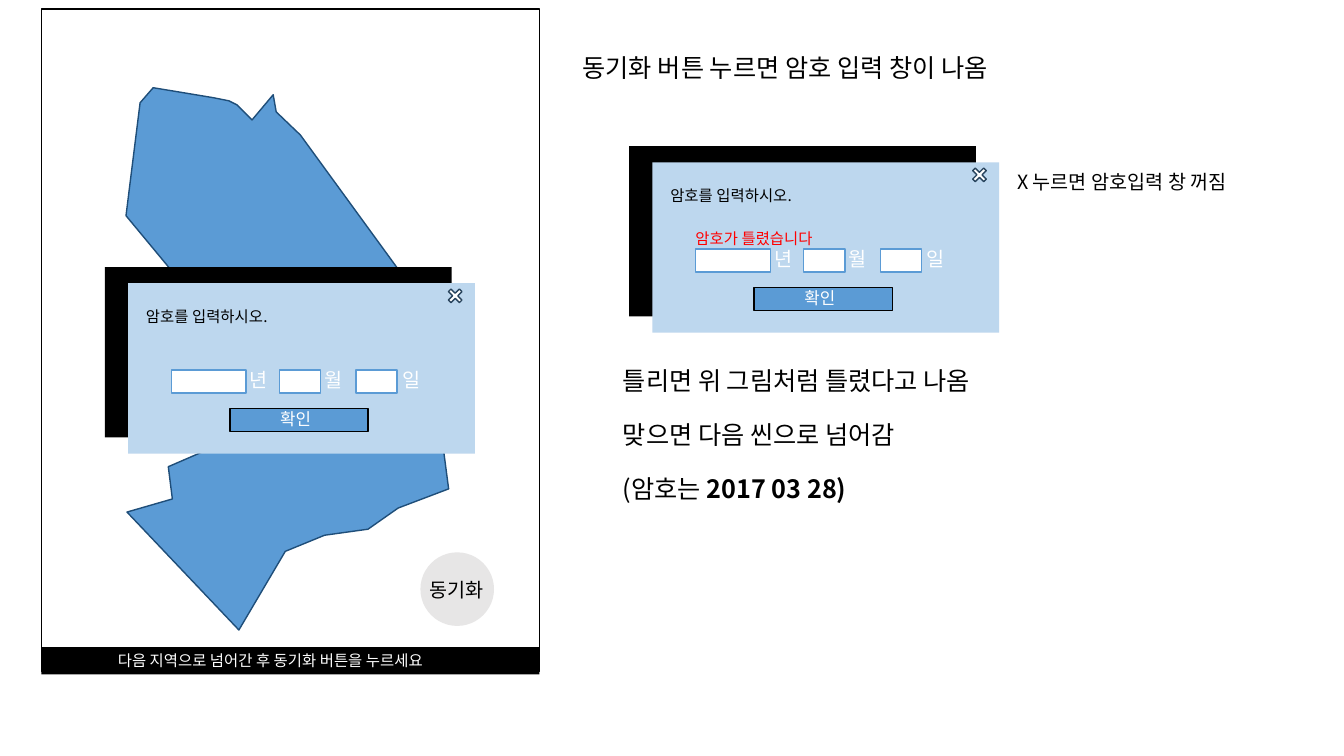
"""Build a slide describing the password dialog of a map synchronisation screen."""
from lxml.etree import SubElement
from pptx import Presentation
from pptx.dml.color import RGBColor
from pptx.enum.shapes import MSO_SHAPE as Preset
from pptx.enum.text import MSO_AUTO_SIZE as AutoSize
from pptx.oxml.ns import qn
from pptx.util import Inches, Pt

FONT = "Noto Sans CJK KR"
BLACK, WHITE, BLUE, RED = "000000", "FFFFFF", "5B9BD5", "FF0000"


def paint(shape, fill=None, line=None):
    shape.shadow.inherit = False
    if fill:
        shape.fill.solid()
        shape.fill.fore_color.rgb = RGBColor.from_string(fill)
    else:
        shape.fill.background()
    if line:
        shape.line.color.rgb = RGBColor.from_string(line)
        shape.line.width = Pt(1)
    else:
        shape.line.fill.background()
    return shape


def add_text(shapes, text, left, top, width, height, size=11, color=BLACK, bold_tail=""):
    box = shapes.add_textbox(Inches(left), Inches(top), Inches(width), Inches(height))
    frame = box.text_frame
    frame.word_wrap = False
    frame.auto_size = AutoSize.SHAPE_TO_FIT_TEXT
    for words, bold in ((text, None), (bold_tail, True)):
        if words:
            span = frame.paragraphs[0].add_run()
            span.text = words
            span.font.size = Pt(size)
            span.font.bold = bold
            span.font.name = FONT
            span.font.color.rgb = RGBColor.from_string(color)
            SubElement(span.font._element, qn("a:ea"), typeface=FONT)


deck = Presentation()
deck.slide_width, deck.slide_height = Inches(13.33), Inches(7.5)
page = deck.slides.add_slide(deck.slide_layouts[6])
shapes = page.shapes

paint(shapes.add_shape(Preset.RECTANGLE, Inches(0.41), Inches(0.09), Inches(4.94), Inches(6.57)), line=BLACK)

sync_button = shapes.add_group_shape().shapes
paint(sync_button.add_shape(Preset.OVAL, Inches(4.17), Inches(5.48), Inches(0.73), Inches(0.73)), "E7E6E6")
add_text(sync_button, "동기화", 4.16, 5.68, 0.74, 0.34, size=14)

paint(shapes.add_shape(Preset.RECTANGLE, Inches(0.41), Inches(6.42), Inches(4.94), Inches(0.27)), BLACK)
add_text(shapes, "다음 지역으로 넘어간 후 동기화 버튼을 누르세요", 1.07, 6.41, 3.38, 0.29, color=WHITE)

region_points = [
    (1.52, 0.87), (1.39, 1.02), (1.25, 2.14), (1.93, 2.96), (1.77, 3.14), (2.2, 4.4),
    (1.67, 4.63), (1.71, 4.95), (1.26, 5.08), (2.37, 6.25), (2.83, 5.47), (3.22, 5.31),
    (3.65, 5.25), (3.95, 5.04), (4.45, 4.85), (4.24, 3.25), (4.08, 2.85), (2.98, 1.34),
    (2.74, 1.11), (2.71, 0.94), (2.5, 1.19), (2.35, 1.04), (2.27, 1), (2.12, 0.97),
]
corners = [(Inches(x), Inches(y)) for x, y in region_points]
outline = shapes.build_freeform(*corners[0])
outline.add_line_segments(corners[1:], close=True)
paint(outline.convert_to_shape(), BLUE, "1F4E79")

dialog_parts = [
    (0, 0, 3.44, 1.69, BLACK, None),
    (0.23, 0.16, 3.44, 1.69, "BDD7EE", None),
    (0.66, 1.02, 0.74, 0.23, WHITE, BLUE),
    (1.73, 1.02, 0.41, 0.23, WHITE, BLUE),
    (2.49, 1.02, 0.41, 0.23, WHITE, BLUE),
    (1.24, 1.4, 1.37, 0.23, BLUE, BLACK),
]
for left, top in ((1.04, 2.65), (6.24, 1.45)):
    dialog = shapes.add_group_shape().shapes
    for x, y, width, height, fill, line in dialog_parts:
        part = dialog.add_shape(
            Preset.RECTANGLE, Inches(left + x), Inches(top + y), Inches(width), Inches(height))
        paint(part, fill, line)
    close_mark = dialog.add_shape(
        Preset.MATH_MULTIPLY, Inches(left + 3.37), Inches(top + 0.18), Inches(0.21), Inches(0.21))
    close_mark.adjustments[0] = 0.172
    paint(close_mark, WHITE, "28445D")
    add_text(dialog, "암호를 입력하시오.", left + 0.31, top + 0.35, 1.5, 0.29)
    add_text(dialog, "확인", left + 1.64, top + 1.36, 0.52, 0.3, size=12, color=WHITE)
    for unit, x in (("년", 1.34), ("월", 2.08), ("일", 2.85)):
        add_text(dialog, unit, left + x, top + 0.95, 0.4, 0.34, size=14, color=WHITE)

add_text(shapes, "암호가 틀렸습니다", 6.8, 2.22, 1.46, 0.29, color=RED)
add_text(shapes, "X 누르면 암호입력 창 꺼짐", 9.99, 1.64, 2.56, 0.34, size=14)
add_text(shapes, "동기화 버튼 누르면 암호 입력 창이 나옴", 5.68, 0.47, 4.78, 0.4, size=18)
add_text(shapes, "틀리면 위 그림처럼 틀렸다고 나옴", 6.08, 3.58, 4.09, 0.4, size=18)
add_text(shapes, "맞으면 다음 씬으로 넘어감", 6.08, 4.11, 3.25, 0.4, size=18)
add_text(shapes, "(암호는 ", 6.08, 4.65, 2.56, 0.4, size=18, bold_tail="2017 03 28)")

deck.save("out.pptx")
